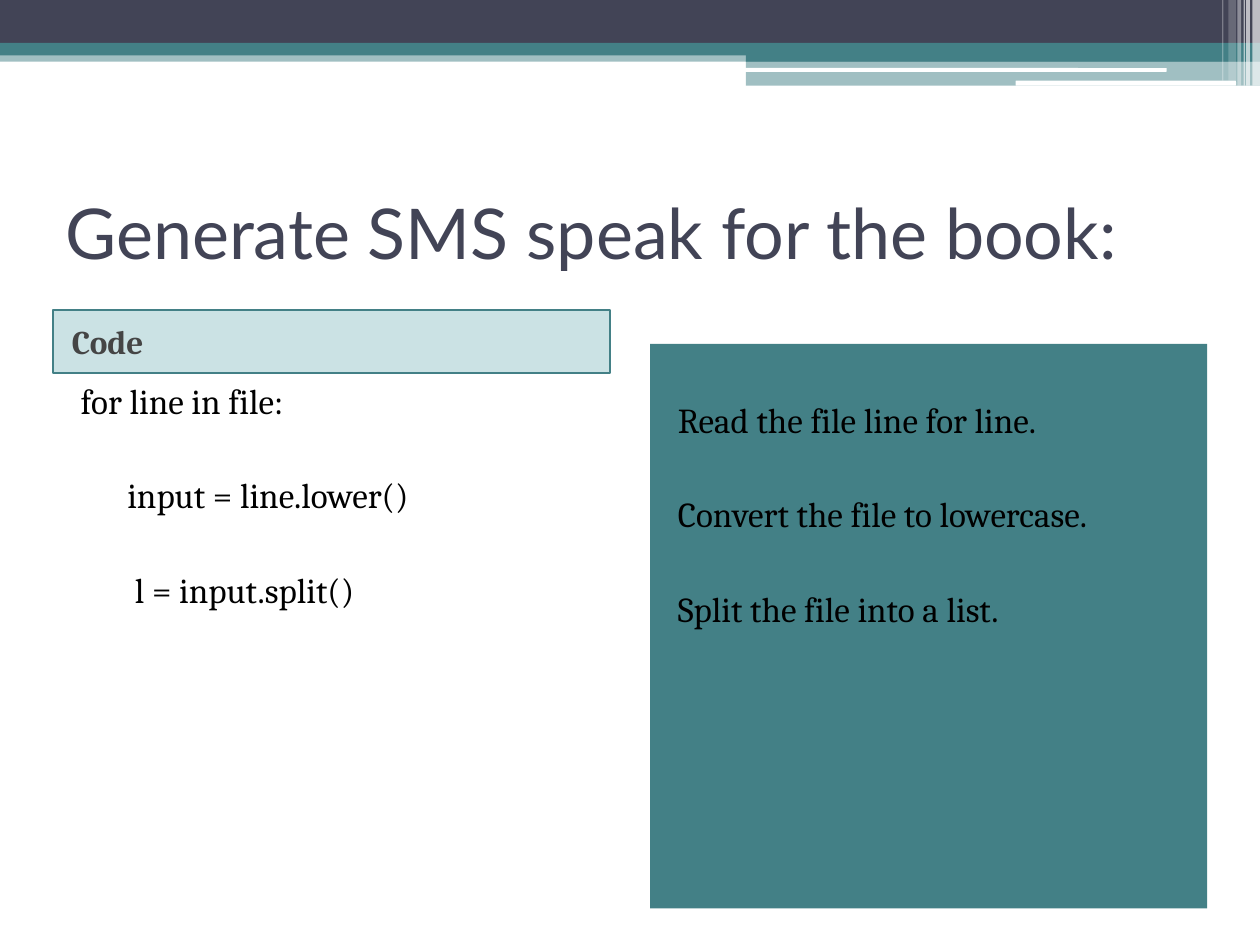
"""Build the slide that sets SMS speak code beside its explanation."""
from lxml import etree
from pptx import Presentation
from pptx.dml.color import RGBColor
from pptx.enum.shapes import MSO_SHAPE
from pptx.enum.text import MSO_ANCHOR, MSO_AUTO_SIZE, PP_ALIGN
from pptx.oxml.ns import qn
from pptx.util import Inches, Pt

RECT, ROUND = MSO_SHAPE.RECTANGLE, MSO_SHAPE.ROUNDED_RECTANGLE
TOP, MIDDLE = MSO_ANCHOR.TOP, MSO_ANCHOR.MIDDLE
LEFT, NO_FIT = PP_ALIGN.LEFT, MSO_AUTO_SIZE.NONE
TEAL, NAVY, WHITE, BLACK = "438086", "424456", "FFFFFF", "000000"
WIDTH, HEIGHT = 10, 7.5
MARGIN, COLUMN, BOTTOM = 0.42, 4.42, 7.21
RIGHT = WIDTH - MARGIN - COLUMN
INDENT, LINE_GAP = 0.12, 30


def paint(sp, color, opacity=100):
    sp.fill.solid()
    sp.fill.fore_color.rgb = RGBColor.from_string(color)
    if opacity < 100:
        tint = sp.fill._xPr.find(qn("a:solidFill"))[0]
        etree.SubElement(tint, qn("a:alpha"), val=str(opacity * 1000))


def place(sp, left, top, width, height):
    box = {"left": left, "top": top, "width": width, "height": height}
    for name, value in box.items():
        setattr(sp, name, Inches(value))


prs = Presentation()
prs.slide_width, prs.slide_height = Inches(WIDTH), Inches(HEIGHT)
s = prs.slides.add_slide(prs.slide_layouts[4])

HALF = 5.92
bands = [
    (RECT, 0, 0.4, WIDTH, 0.09, TEAL, 50),
    (RECT, 0, 0, WIDTH, 0.34, NAVY, 100),
    (RECT, 0, 0.34, WIDTH, 0.1, TEAL, 100),
    (RECT, HALF, 0.39, WIDTH - HALF, 0.1, TEAL, 100),
    (RECT, HALF, 0.48, WIDTH - HALF, 0.2, TEAL, 50),
    (ROUND, 5.91, 0.54, 3.35, 0.03, WHITE, 100),
    (ROUND, 8.06, 0.64, 1.75, 0.04, WHITE, 100),
]
stripes = [(9.94, 0.06, 0.68, 65), (9.89, 0.03, 0.68, 65), (9.87, 0.01, 0.68, 60),
           (9.82, 0.03, 0.68, 40), (9.75, 0.06, 0.64, 20), (9.7, 0.01, 0.64, 30)]
bands += [(RECT, x, 0, w, h, WHITE, opacity) for x, w, h, opacity in stripes]

for kind, x, y, w, h, color, opacity in bands:
    sp = s.shapes.add_shape(kind, Inches(x), Inches(y), Inches(w), Inches(h))
    sp.shadow.inherit = False
    sp.line.fill.background()
    paint(sp, color, opacity)

title, heading, code, unused, notes = s.placeholders
unused._element.getparent().remove(unused._element)

blocks = [
    (title, (MARGIN, 1.25, WIDTH - 2 * MARGIN, 1.17), MIDDLE, 0.05, 0,
     {"name": "Lato", "size": Pt(40), "bold": False}, NAVY,
     [("Generate SMS speak for the book:", 0)]),
    (heading, (MARGIN, 2.46, COLUMN, 0.5), MIDDLE, 0.05, 3,
     {"name": "Cambria", "size": Pt(19), "bold": True}, "454545",
     [("Code", 0.05)]),
    (code, (MARGIN, 2.96, COLUMN, BOTTOM - 2.96), TOP, 0.05, 3,
     {"name": "Cambria", "size": Pt(20), "bold": False}, BLACK,
     [("for line in file:", INDENT), ("input = line.lower()", INDENT + 0.37),
      ("l = input.split()", INDENT + 0.43)]),
    (notes, (RIGHT, 2.73, COLUMN, BOTTOM - 2.73), TOP, 0.43, 3,
     {"name": "Cambria", "size": Pt(20), "bold": False}, BLACK,
     [("Read the file line for line.", INDENT),
      ("Convert the file to lowercase.", INDENT),
      ("Split the file into a list.", INDENT)]),
]

for sp, box, anchor, inset, before, font, color, lines in blocks:
    s.shapes._spTree.append(sp._element)
    place(sp, *box)
    tf = sp.text_frame
    frame = {"word_wrap": True, "auto_size": NO_FIT, "vertical_anchor": anchor,
             "margin_top": Inches(inset)}
    for name, value in frame.items():
        setattr(tf, name, value)
    for i, (text, indent) in enumerate(lines):
        p = tf.add_paragraph() if i else tf.paragraphs[0]
        p.alignment = LEFT
        p.space_before = Pt(LINE_GAP if i else before)
        pPr = p._p.get_or_add_pPr()
        pPr.set("marL", str(Inches(indent)))
        pPr.set("indent", "0")
        etree.SubElement(pPr, qn("a:buNone"))
        r = p.add_run()
        r.text = text
        for name, value in font.items():
            setattr(r.font, name, value)
        r.font.color.rgb = RGBColor.from_string(color)

paint(heading, "328E97", 25)
heading.line.color.rgb = RGBColor.from_string(TEAL)
heading.line.width = Pt(1)
paint(notes, TEAL)

prs.save("out.pptx")
